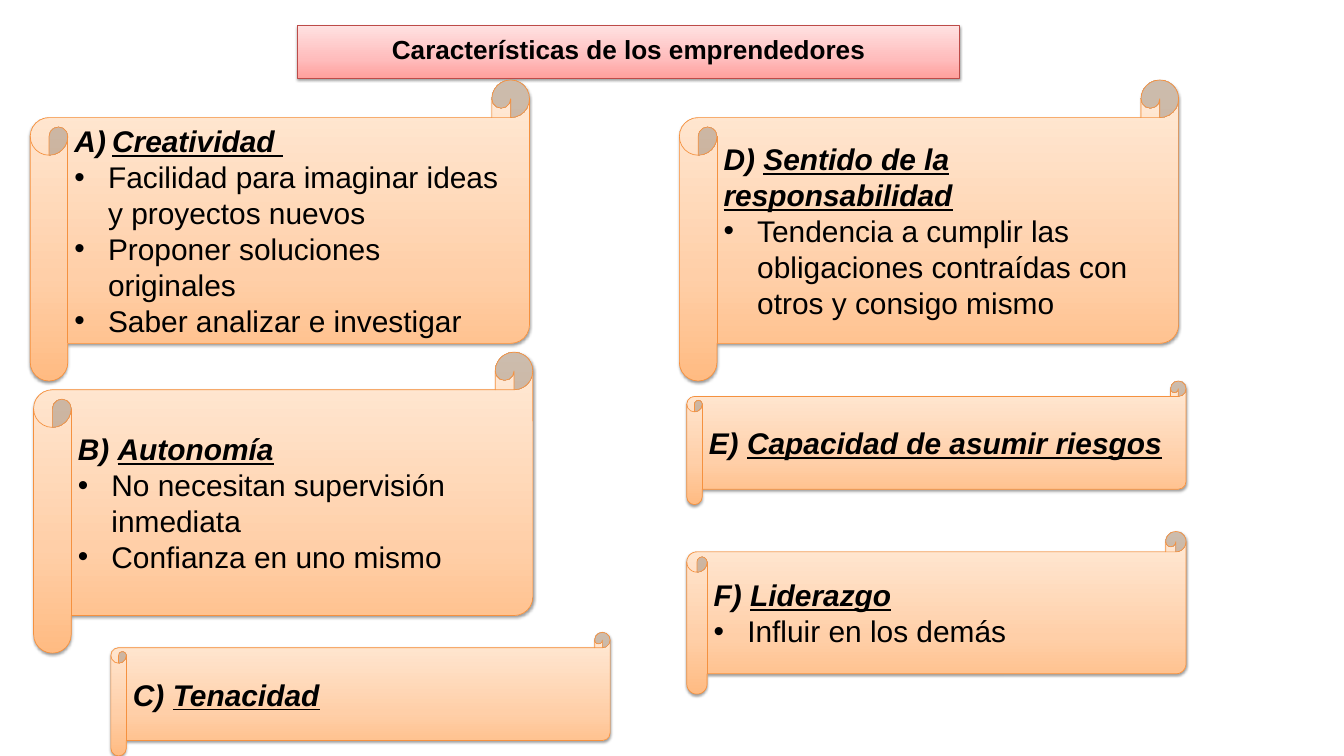
from dataclasses import dataclass
from typing import Any

from lxml import etree
from pptx import Presentation, util as u
from pptx.dml.color import RGBColor
from pptx.enum import shapes, text
from pptx.oxml.ns import qn

COLORS = {"text": "000000", "title_line": "BD4B48", "scroll_line": "F5913F", "shadow": "000000"}
# Gradient stops in percent, running from the bottom edge to the top edge
GRADIENTS = {
    "title": {0: "FFA09D", 35: "FFBCBC", 100: "FFE2E2"},
    "scroll": {0: "FFBB82", 35: "FFCFA8", 100: "FFEBD9"},
}
FONT = "Arial"
SCROLL_WIDTH = 7.43


@dataclass(frozen=True)
class Trait:
    left: float
    top: float
    height: float
    letter: str
    name: str
    points: tuple[str, ...] = ()
    numbered: bool = False


TRAITS = [
    Trait(0.45, 1.19, 4.48, "A", "Creatividad ", (
        "Facilidad para imaginar ideas y proyectos nuevos",
        "Proponer soluciones originales",
        "Saber analizar e investigar",
    ), numbered=True),
    Trait(0.5, 5.24, 4.48, "B", "Autonomía", (
        "No necesitan supervisión inmediata",
        "Confianza en uno mismo",
    )),
    Trait(1.65, 9.41, 1.84, "C", "Tenacidad"),
    Trait(10.11, 1.19, 4.48, "D", "Sentido de la responsabilidad", (
        "Tendencia a cumplir las obligaciones contraídas con otros y consigo mismo",
    )),
    Trait(10.22, 5.67, 1.84, "E", "Capacidad de asumir riesgos"),
    Trait(10.22, 7.91, 2.42, "F", "Liderazgo", ("Influir en los demás",)),
]


def add_text(paragraph: Any, content: str, *, size: float = 32, bold: bool = False,
             italic: bool = False, underline: bool = False) -> None:
    run = paragraph.add_run()
    run.text = content
    font = run.font
    font.name, font.size = FONT, u.Pt(size)
    font.bold, font.italic, font.underline = bold, italic, underline
    font.color.rgb = RGBColor.from_string(COLORS["text"])


def add_child(parent: Any, tag: str, **attributes: Any) -> Any:
    return etree.SubElement(parent, qn(tag), {key: str(value) for key, value in attributes.items()})


def set_bullet(paragraph: Any, indent: float, tag: str, **attributes: str) -> None:
    """Give the paragraph a hanging indent and a bullet or number."""
    properties = paragraph._p.get_or_add_pPr()
    properties.set("marL", str(u.Inches(indent)))
    properties.set("indent", str(-u.Inches(indent)))
    add_child(properties, "a:buFont", typeface=FONT)
    add_child(properties, tag, **attributes)


def style_box(shape: Any, kind: str) -> None:
    """Apply the gradient, outline, soft shadow and text frame settings."""
    shape.fill.gradient()
    gradient = shape._element.spPr.find(qn("a:gradFill"))
    stops = gradient.find(qn("a:gsLst"))
    stops.clear()
    for position, color in GRADIENTS[kind].items():
        stop = add_child(stops, "a:gs", pos=position * 1000)
        add_child(stop, "a:srgbClr", val=color)
    gradient.find(qn("a:lin")).set("ang", str(270 * 60000))

    shape.line.color.rgb = RGBColor.from_string(COLORS[f"{kind}_line"])
    shape.line.width = u.Pt(0.75)

    shape.shadow.inherit = False
    effects = shape._element.spPr.find(qn("a:effectLst"))
    shadow = add_child(effects, "a:outerShdw", blurRad=u.Pt(3.1), dist=u.Pt(1.6),
                       dir=90 * 60000, rotWithShape=0)
    shadow_color = add_child(shadow, "a:srgbClr", val=COLORS["shadow"])
    add_child(shadow_color, "a:alpha", val=38000)

    frame = shape.text_frame
    frame.word_wrap = True
    frame.auto_size = text.MSO_AUTO_SIZE.NONE
    frame.vertical_anchor = text.MSO_ANCHOR.MIDDLE


def fill_title(slide: Any) -> None:
    title = slide.shapes.title
    title.left, title.top = u.Inches(4.43), u.Inches(0.37)
    title.width, title.height = u.Inches(9.84), u.Inches(0.79)
    style_box(title, "title")
    paragraph = title.text_frame.paragraphs[0]
    paragraph.alignment = text.PP_ALIGN.CENTER
    paragraph.line_spacing = 0.9
    add_text(paragraph, "Características de los emprendedores", size=28, bold=True)


def add_scroll(slide: Any, trait: Trait) -> None:
    scroll = slide.shapes.add_shape(
        shapes.MSO_SHAPE.HORIZONTAL_SCROLL, u.Inches(trait.left), u.Inches(trait.top),
        u.Inches(SCROLL_WIDTH), u.Inches(trait.height))
    style_box(scroll, "scroll")
    frame = scroll.text_frame
    heading = frame.paragraphs[0]
    heading.alignment = text.PP_ALIGN.LEFT
    if trait.numbered:
        set_bullet(heading, 0.56, "a:buAutoNum", type="alphaUcParenR")
    else:
        add_text(heading, f"{trait.letter}) ", bold=True, italic=True)
    add_text(heading, trait.name, bold=True, italic=True, underline=True)
    for point in trait.points:
        paragraph = frame.add_paragraph()
        paragraph.alignment = text.PP_ALIGN.LEFT
        set_bullet(paragraph, 0.5, "a:buChar", char="•")
        add_text(paragraph, point)


def main() -> None:
    presentation = Presentation()
    presentation.slide_width, presentation.slide_height = u.Inches(20), u.Inches(11.25)
    slide = presentation.slides.add_slide(presentation.slide_layouts.get_by_name("Title Only"))
    fill_title(slide)
    for trait in TRAITS:
        add_scroll(slide, trait)
    presentation.save("out.pptx")


if __name__ == "__main__":
    main()
